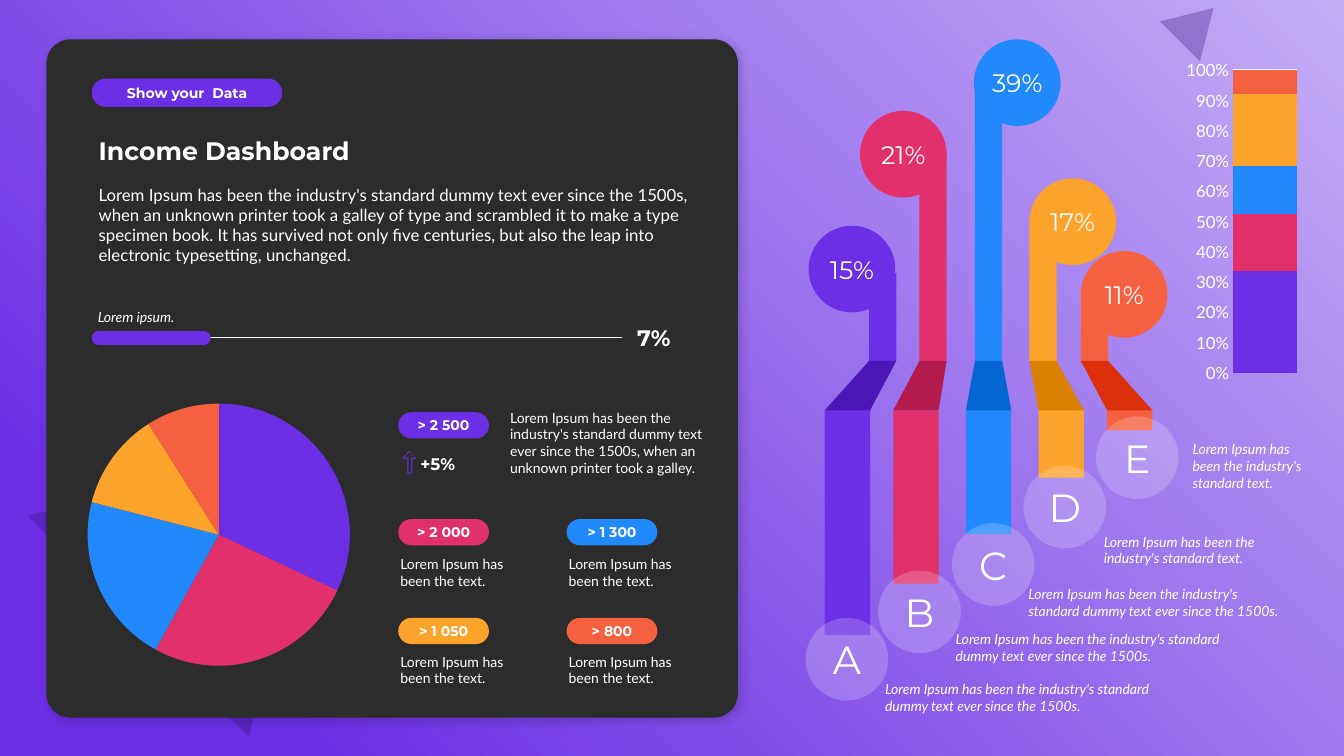
from lxml import etree
from pptx import Presentation
from pptx.chart.data import CategoryChartData
from pptx.dml.color import RGBColor
from pptx.enum.chart import XL_CHART_TYPE, XL_TICK_MARK
from pptx.enum.shapes import MSO_CONNECTOR, MSO_SHAPE
from pptx.enum.text import MSO_ANCHOR, PP_ALIGN
from pptx.oxml import parse_xml
from pptx.oxml.ns import nsdecls, qn
from pptx.util import Inches, Pt

WHITE = RGBColor(0xFF, 0xFF, 0xFF)
DARK = RGBColor(0x2C, 0x2C, 0x2C)
LILAC = RGBColor(0xC4, 0xAC, 0xF5)
INDIGO = RGBColor(0x33, 0x0F, 0x7B)
PURPLE = RGBColor(0x6C, 0x2F, 0xE5)
PINK = RGBColor(0xE1, 0x30, 0x6C)
BLUE = RGBColor(0x21, 0x89, 0xFB)
AMBER = RGBColor(0xFC, 0xA3, 0x2C)
CORAL = RGBColor(0xF5, 0x60, 0x40)
DEEP_PURPLE = RGBColor(0x4D, 0x17, 0xB8)
DEEP_PINK = RGBColor(0xB3, 0x1A, 0x4E)
DEEP_BLUE = RGBColor(0x04, 0x66, 0xD1)
DEEP_AMBER = RGBColor(0xDB, 0x7F, 0x03)
DEEP_CORAL = RGBColor(0xDC, 0x30, 0x0C)
PALETTE = [PURPLE, PINK, BLUE, AMBER, CORAL]
HEADING, BODY = "Montserrat", "Lato"

deck = Presentation()
deck.slide_width, deck.slide_height = Inches(13.33), Inches(7.5)
slide = deck.slides.add_slide(deck.slide_layouts[6])
shapes = slide.shapes


def add_block(kind, box, color, opacity=None):
    block = shapes.add_shape(kind, *map(Inches, box))
    block.shadow.inherit = False
    block.line.fill.background()
    block.fill.solid()
    block.fill.fore_color.rgb = color
    if opacity:
        tint = block._element.spPr.find(qn("a:solidFill"))[0]
        etree.SubElement(tint, qn("a:alpha"), val=str(opacity * 1000))
    return block


def write(holder, text, size, font=BODY, bold=False, italic=False,
          align=PP_ALIGN.LEFT, anchor=MSO_ANCHOR.TOP, side=0.1, upright=0.05):
    frame = holder.text_frame
    frame.word_wrap = True
    frame.vertical_anchor = anchor
    frame.margin_left = frame.margin_right = Inches(side)
    frame.margin_top = frame.margin_bottom = Inches(upright)
    paragraph = frame.paragraphs[0]
    paragraph.text = text
    paragraph.alignment = align
    paragraph.font.name, paragraph.font.size = font, Pt(size)
    paragraph.font.bold, paragraph.font.italic = bold, italic
    paragraph.font.color.rgb = WHITE


# Background: radial gradient from the top right corner, with triangles
backdrop = add_block(MSO_SHAPE.RECTANGLE, (0, 0, 13.33, 7.5), PURPLE)
backdrop.fill.gradient()
for stop, color, position in zip(backdrop.fill.gradient_stops, (LILAC, PURPLE), (0, 0.85)):
    stop.color.rgb, stop.position = color, position
gradient = backdrop._element.spPr.find(qn("a:gradFill"))
gradient.replace(gradient.find(qn("a:lin")), parse_xml(
    f'<a:path {nsdecls("a")} path="circle"><a:fillToRect l="100000" b="100000"/></a:path>'))
for box in ((0.73, 4.02, 3.1, 2.57), (11.59, 0.01, 0.56, 0.47)):
    add_block(MSO_SHAPE.ISOSCELES_TRIANGLE, box, INDIGO, 30).rotation = 45

# Dark panel with a soft shadow
panel = add_block(MSO_SHAPE.ROUNDED_RECTANGLE, (0.46, 0.39, 6.86, 6.73), DARK)
panel.adjustments[0] = 0.036
panel._element.spPr.find(qn("a:effectLst")).append(parse_xml(
    f'<a:outerShdw {nsdecls("a")} blurRad="{Pt(8)}" dist="{Pt(3)}" dir="2700000">'
    '<a:srgbClr val="000000"><a:alpha val="20000"/></a:srgbClr></a:outerShdw>'))

# Heading and introduction
tag = add_block(MSO_SHAPE.ROUNDED_RECTANGLE, (0.91, 0.78, 1.89, 0.28), PURPLE)
tag.adjustments[0] = 0.5
write(tag, "Show your  Data", 10, HEADING, bold=True, align=PP_ALIGN.CENTER,
      anchor=MSO_ANCHOR.MIDDLE, upright=0)
title = shapes.add_textbox(*map(Inches, (0.88, 1.29, 6.16, 0.4)))
write(title, "Income Dashboard", 18, HEADING, bold=True, anchor=MSO_ANCHOR.BOTTOM)
intro = shapes.add_textbox(*map(Inches, (0.88, 1.78, 6.16, 0.91)))
write(intro, "Lorem Ipsum has been the industry's standard dummy text ever since the 1500s, "
      "when an unknown printer took a galley of type and scrambled it to make a type "
      "specimen book. It has survived not only five centuries, but also the leap into "
      "electronic typesetting, unchanged.", 12)

# Progress line
for start, end, color, weight in ((0.92, 6.17, WHITE, 0.5), (0.98, 2.02, PURPLE, 10)):
    track = shapes.add_connector(MSO_CONNECTOR.STRAIGHT, Inches(start), Inches(3.35),
                                 Inches(end), Inches(3.35))
    track.line.color.rgb, track.line.width = color, Pt(weight)
    etree.SubElement(track._element.spPr, qn("a:effectLst"))
track.line._get_or_add_ln().set("cap", "rnd")
progress = shapes.add_textbox(*map(Inches, (6.22, 3.16, 0.95, 0.37)))
write(progress, "7%", 16, HEADING, bold=True, anchor=MSO_ANCHOR.MIDDLE)
caption = shapes.add_textbox(*map(Inches, (0.89, 3.01, 1.92, 0.27)))
write(caption, "Lorem ipsum.", 10, italic=True, anchor=MSO_ANCHOR.BOTTOM, side=0.08)

# Figures beside the pie
SHORT = "Lorem Ipsum has been the text."
LONG = ("Lorem Ipsum has been the industry's standard dummy text ever since the 1500s, "
        "when an unknown printer took a galley.")
figures = [
    ("> 2 500", 3.95, 4.09, LONG, (5.06, 4.01, 2.1, 0.77)),
    ("> 2 000", 3.95, 5.15, SHORT, (3.97, 5.46, 1.31, 0.44)),
    ("> 1 300", 5.62, 5.15, SHORT, (5.64, 5.46, 1.31, 0.44)),
    ("> 1 050", 3.95, 6.13, SHORT, (3.97, 6.43, 1.31, 0.44)),
    ("> 800", 5.62, 6.13, SHORT, (5.64, 6.43, 1.31, 0.44)),
]
for (amount, left, top, detail, detail_box), color in zip(figures, PALETTE):
    pill = add_block(MSO_SHAPE.ROUNDED_RECTANGLE, (left, top, 0.9, 0.26), color)
    pill.adjustments[0] = 0.5
    write(pill, amount, 10, HEADING, bold=True, align=PP_ALIGN.CENTER,
          anchor=MSO_ANCHOR.MIDDLE, side=0, upright=0)
    write(shapes.add_textbox(*map(Inches, detail_box)), detail, 10, side=0)

# Growth arrow, drawn as an outline with a hollow inside
growth = shapes.add_textbox(*map(Inches, (4.17, 4.45, 1.27, 0.3)))
write(growth, "+5%", 12, HEADING, bold=True, side=0)
outer = [(4.06, 4.47), (4.13, 4.55), (4.09, 4.55), (4.09, 4.7), (4.04, 4.7), (4.04, 4.55), (3.99, 4.55)]
inner = [(4.06, 4.48), (4.01, 4.54), (4.05, 4.54), (4.05, 4.69), (4.08, 4.69), (4.08, 4.54), (4.12, 4.54)]
pen = shapes.build_freeform(*map(Inches, outer[0]))
pen.add_line_segments([tuple(map(Inches, point)) for point in outer[1:]])
pen.move_to(*map(Inches, inner[0]))
pen.add_line_segments([tuple(map(Inches, point)) for point in inner[1:]])
arrow = pen.convert_to_shape()
arrow.shadow.inherit = False
arrow.fill.solid()
arrow.fill.fore_color.rgb = PURPLE
arrow.line.fill.background()

# Ribbons: upper stem, slanted fold, lower stem
STEM, FOOT, FOLD_TOP, FOLD_BOTTOM = 0.27, 0.45, 3.58, 4.07
ribbons = [  # stem left, stem top, foot left, foot bottom, fold color
    (8.62, 2.71, 8.18, 6.3, DEEP_PURPLE),
    (9.12, 1.5, 8.86, 5.79, DEEP_PINK),
    (9.67, 0.83, 9.58, 5.3, DEEP_BLUE),
    (10.21, 2.18, 10.3, 4.74, DEEP_AMBER),
    (10.72, 2.86, 10.98, 4.27, DEEP_CORAL),
]
for (stem, top, foot, bottom, shade), color in zip(ribbons, PALETTE):
    add_block(MSO_SHAPE.RECTANGLE, (stem, top, STEM, FOLD_TOP - top), color)
    add_block(MSO_SHAPE.RECTANGLE, (foot, FOLD_BOTTOM, FOOT, bottom - FOLD_BOTTOM), color)
    pen = shapes.build_freeform(Inches(stem), Inches(FOLD_TOP))
    pen.add_line_segments([
        (Inches(stem + STEM), Inches(FOLD_TOP)),
        (Inches(foot + FOOT), Inches(FOLD_BOTTOM)),
        (Inches(foot), Inches(FOLD_BOTTOM))])
    fold = pen.convert_to_shape()
    fold.shadow.inherit = False
    fold.fill.solid()
    fold.fill.fore_color.rgb = shade
    fold.line.fill.background()

# Percentage discs on top of the ribbons
shares = [("15%", 8.02, 2.24), ("21%", 8.53, 1.1), ("39%", 9.66, 0.39),
          ("17%", 10.21, 1.77), ("11%", 10.72, 2.49)]
for (share, left, top), color in zip(shares, PALETTE):
    disc = add_block(MSO_SHAPE.OVAL, (left, top, 0.86, 0.86), color)
    write(disc, share, 18, HEADING, align=PP_ALIGN.CENTER, anchor=MSO_ANCHOR.MIDDLE, side=0)

# Lettered discs at the feet, each with its note
NOTE = "Lorem Ipsum has been the industry's standard text."
DATED_NOTE = "Lorem Ipsum has been the industry's standard dummy text ever since the 1500s."
letters = [
    ("A", 7.99, 6.13, DATED_NOTE, (8.68, 6.7, 3.05, 0.44)),
    ("B", 8.71, 5.66, DATED_NOTE, (9.38, 6.21, 3.05, 0.44)),
    ("C", 9.44, 5.19, DATED_NOTE, (10.1, 5.76, 2.71, 0.44)),
    ("D", 10.15, 4.62, NOTE, (10.85, 5.24, 1.95, 0.44)),
    ("E", 10.87, 4.13, NOTE, (11.73, 4.32, 1.43, 0.61)),
]
for letter, left, top, note, note_box in letters:
    disc = add_block(MSO_SHAPE.OVAL, (left, top, 0.82, 0.82), WHITE, 20)
    write(disc, letter, 28, HEADING, align=PP_ALIGN.CENTER, anchor=MSO_ANCHOR.MIDDLE)
    write(shapes.add_textbox(*map(Inches, note_box)), note, 10, italic=True)

# Pie chart
pie_data = CategoryChartData()
pie_data.categories = ["1", "2", "3", "4", "5"]
pie_data.add_series("Series 1", (32, 26, 21, 12, 9))
pie = shapes.add_chart(XL_CHART_TYPE.PIE, *map(Inches, (0.6, 3.86, 3.14, 2.89)), pie_data).chart
for index, color in enumerate(PALETTE):
    wedge = pie.plots[0].series[0].points[index].format
    wedge.fill.solid()
    wedge.fill.fore_color.rgb = color
    wedge.line.fill.background()

# Stacked column
column_data = CategoryChartData()
column_data.categories = ["1"]
for number, value in enumerate((34, 19, 16, 24, 8), 1):
    column_data.add_series(f"Series {number}", (value,))
column = shapes.add_chart(XL_CHART_TYPE.COLUMN_STACKED_100,
                          *map(Inches, (11.75, 0.53, 1.14, 3.3)), column_data).chart
column.plots[0].gap_width, column.plots[0].overlap = 0, 100
for series, color in zip(column.plots[0].series, PALETTE):
    series.format.fill.solid()
    series.format.fill.fore_color.rgb = color
column.category_axis.visible = False
scale = column.value_axis
scale.major_unit = 0.1
scale.major_tick_mark = scale.minor_tick_mark = XL_TICK_MARK.NONE
scale.format.line.fill.background()
scale.major_gridlines.format.line.color.rgb = WHITE
scale.major_gridlines.format.line.width = Pt(0.75)
scale.tick_labels.number_format, scale.tick_labels.number_format_is_linked = "0%", False

# Shared chart look and plot placement
for chart, size, place in ((pie, 10, (0.085, 0.05, 0.83, 0.9)), (column, 12, (0.42, 0.05, 0.56, 0.91))):
    chart.has_legend = chart.has_title = False
    chart.font.name, chart.font.size, chart.font.color.rgb = BODY, Pt(size), WHITE
    plot_area = chart._chartSpace.chart.plotArea
    for layout in plot_area.findall(qn("c:layout")):
        plot_area.remove(layout)
    sizes = "".join(f'<c:{key} val="{value}"/>' for key, value in zip("xywh", place))
    plot_area.insert(0, parse_xml(
        f'<c:layout {nsdecls("c")}><c:manualLayout><c:layoutTarget val="inner"/>'
        f'<c:xMode val="edge"/><c:yMode val="edge"/>{sizes}</c:manualLayout></c:layout>'))

deck.save("out.pptx")
